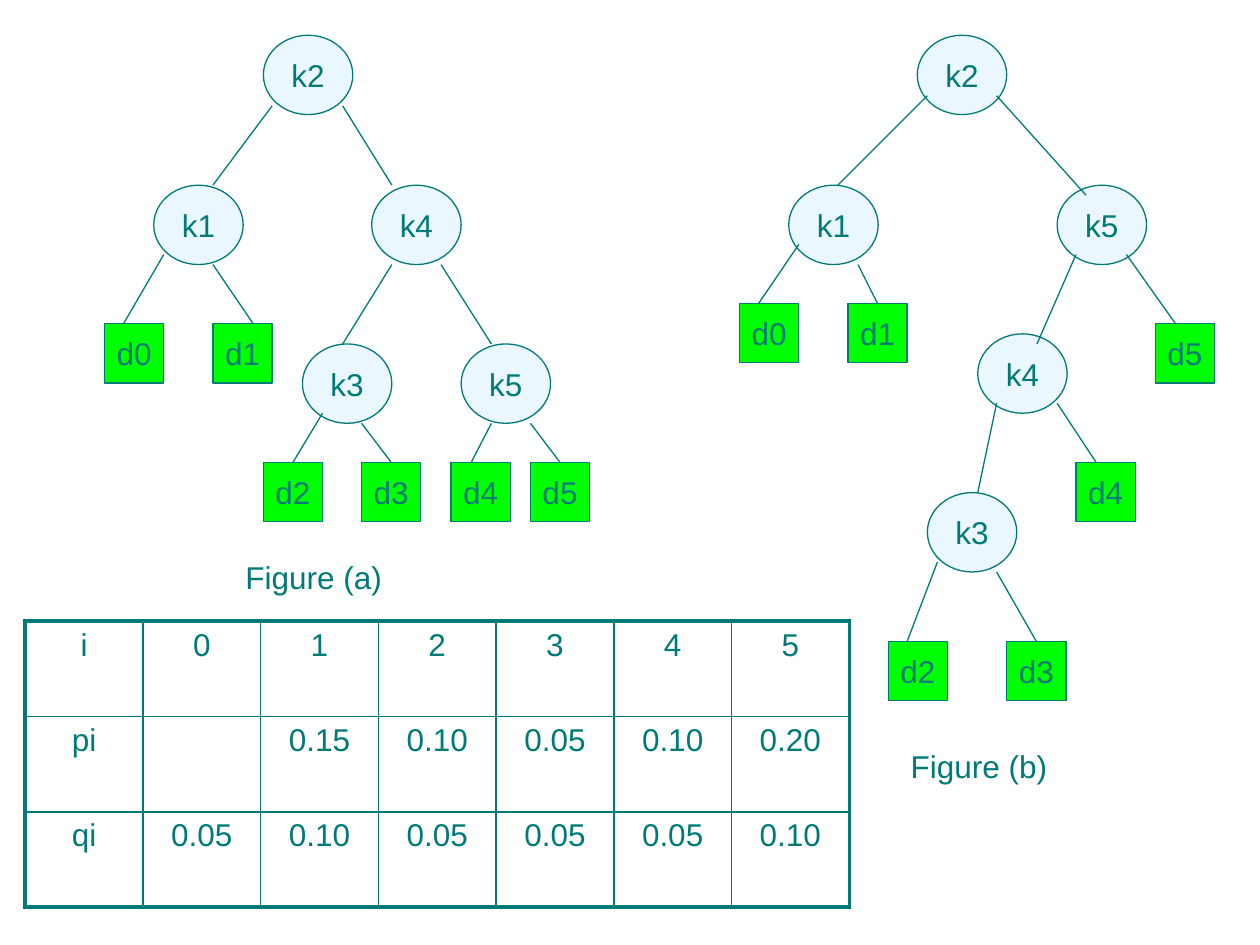
from lxml import etree
from pptx import Presentation
from pptx.dml.color import RGBColor
from pptx.enum.shapes import MSO_CONNECTOR, MSO_SHAPE
from pptx.enum.text import MSO_ANCHOR, MSO_AUTO_SIZE, PP_ALIGN
from pptx.oxml.ns import qn
from pptx.util import Inches, Pt

STRAIGHT = MSO_CONNECTOR.STRAIGHT
OVAL, RECT = MSO_SHAPE.OVAL, MSO_SHAPE.RECTANGLE
CENTER, MIDDLE = PP_ALIGN.CENTER, MSO_ANCHOR.MIDDLE
TEAL, GREEN, PALE = "007A77", "00FF00", "EBF7FF"

# Node: label, left, top, then start and end of the edge from its parent
TREE_A = [
    ("k2", 2.09, 0.28, None, None),
    ("k1", 1.22, 1.47, (2.16, 0.84), (1.69, 1.47)),
    ("k4", 2.95, 1.47, (2.72, 0.84), (3.11, 1.47)),
    ("k3", 2.40, 2.73, (3.11, 2.10), (2.72, 2.73)),
    ("k5", 3.66, 2.73, (3.50, 2.10), (3.90, 2.73)),
    ("d0", 0.83, 2.57, (1.30, 2.02), (0.98, 2.57)),
    ("d1", 1.69, 2.57, (1.69, 2.10), (2.01, 2.57)),
    ("d2", 2.09, 3.67, (2.56, 3.28), (2.32, 3.67)),
    ("d3", 2.87, 3.67, (2.87, 3.36), (3.11, 3.67)),
    ("d4", 3.58, 3.67, (3.90, 3.36), (3.74, 3.67)),
    ("d5", 4.21, 3.67, (4.21, 3.36), (4.45, 3.67)),
]
TREE_B = [
    ("k2", 7.28, 0.28, None, None),
    ("k1", 6.26, 1.47, (7.36, 0.76), (6.65, 1.47)),
    ("k5", 8.39, 1.47, (7.91, 0.76), (8.62, 1.55)),
    ("k4", 7.76, 2.65, (8.54, 2.02), (8.23, 2.73)),
    ("k3", 7.36, 3.91, (7.91, 3.20), (7.76, 3.91)),
    ("d0", 5.87, 2.41, (6.34, 1.94), (6.02, 2.41)),
    ("d1", 6.73, 2.41, (6.81, 2.10), (6.97, 2.41)),
    ("d2", 7.05, 5.09, (7.44, 4.46), (7.20, 5.09)),
    ("d3", 7.99, 5.09, (7.91, 4.54), (8.23, 5.09)),
    ("d4", 8.54, 3.67, (8.39, 3.20), (8.70, 3.67)),
    ("d5", 9.17, 2.57, (8.94, 2.02), (9.33, 2.57)),
]
CAPTIONS = [("Figure (a)", 1.85, 4.38), ("Figure (b)", 7.13, 5.88)]
PROBABILITIES = [
    ["i", "0", "1", "2", "3", "4", "5"],
    ["pi", "", "0.15", "0.10", "0.05", "0.10", "0.20"],
    ["qi", "0.05", "0.10", "0.05", "0.05", "0.05", "0.10"],
]
# First letter of the label: preset, width, height, fill
NODE_STYLES = {"k": (OVAL, 0.71, 0.63, PALE), "d": (RECT, 0.47, 0.47, GREEN)}
FONT = {"name": "Arial", "size": Pt(18)}


def rgb(value):
    return RGBColor.from_string(value)


def write(tf, text, align=None):
    p = tf.paragraphs[0]
    p.alignment = align
    r = p.add_run()
    r.text = text
    for key, value in FONT.items():
        setattr(r.font, key, value)
    r.font.color.rgb = rgb(TEAL)


def outline(sp):
    sp.line.color.rgb = rgb(TEAL)
    sp.line.width = Pt(0.75)


def add_node(shapes, label, left, top):
    preset, width, height, fill = NODE_STYLES[label[0]]
    sp = shapes.add_shape(preset, *map(Inches, (left, top, width, height)))
    sp.shadow.inherit = False
    sp.fill.solid()
    sp.fill.fore_color.rgb = rgb(fill)
    outline(sp)
    sp.text_frame.word_wrap = False
    sp.text_frame.vertical_anchor = MIDDLE
    write(sp.text_frame, label, CENTER)
    return sp


def add_edge(shapes, start, end, node):
    """Draw an edge, joined to the node where it meets the middle of a box top."""
    line = shapes.add_connector(STRAIGHT, *map(Inches, start + end))
    if node.auto_shape_type == RECT:
        if abs(node.left + node.width / 2 - Inches(end[0])) < Inches(0.02):
            line.end_connect(node, 0)
    outline(line)
    etree.SubElement(line._element.spPr, qn("a:effectLst"))


def add_tree(shapes, tree):
    nodes = [add_node(shapes, label, x, y) for label, x, y, _, _ in tree]
    for node, (_, _, _, start, end) in zip(nodes, tree):
        if start:
            add_edge(shapes, start, end, node)


def set_border(cell, side, width):
    ln = etree.SubElement(cell._tc.get_or_add_tcPr(), qn(f"a:ln{side}"), w=str(Pt(width)))
    fill = etree.SubElement(ln, qn("a:solidFill"))
    etree.SubElement(fill, qn("a:srgbClr"), val=TEAL)


def add_table(shapes, rows):
    n_rows, n_cols = len(rows), len(rows[0])
    box = map(Inches, (0.2, 4.93, 6.54, 2.27))
    table = shapes.add_table(n_rows, n_cols, *box).table
    table.first_row = table.horz_banding = False
    for i, row in enumerate(rows):
        for j, text in enumerate(row):
            cell = table.cell(i, j)
            write(cell.text_frame, text, CENTER)
            outer = {"L": j == 0, "R": j == n_cols - 1, "T": i == 0, "B": i == n_rows - 1}
            for side, is_outer in outer.items():
                set_border(cell, side, 2.25 if is_outer else 1)
            cell.fill.background()


def main():
    prs = Presentation()
    prs.slide_width, prs.slide_height = Inches(10), Inches(7.5)
    shapes = prs.slides.add_slide(prs.slide_layouts[6]).shapes
    for tree in (TREE_A, TREE_B):
        add_tree(shapes, tree)
    for text, left, top in CAPTIONS:
        tf = shapes.add_textbox(*map(Inches, (left, top, 1.34, 0.4))).text_frame
        tf.word_wrap = True
        tf.auto_size = MSO_AUTO_SIZE.SHAPE_TO_FIT_TEXT
        write(tf, text)
    add_table(shapes, PROBABILITIES)
    prs.save("out.pptx")


if __name__ == "__main__":
    main()
